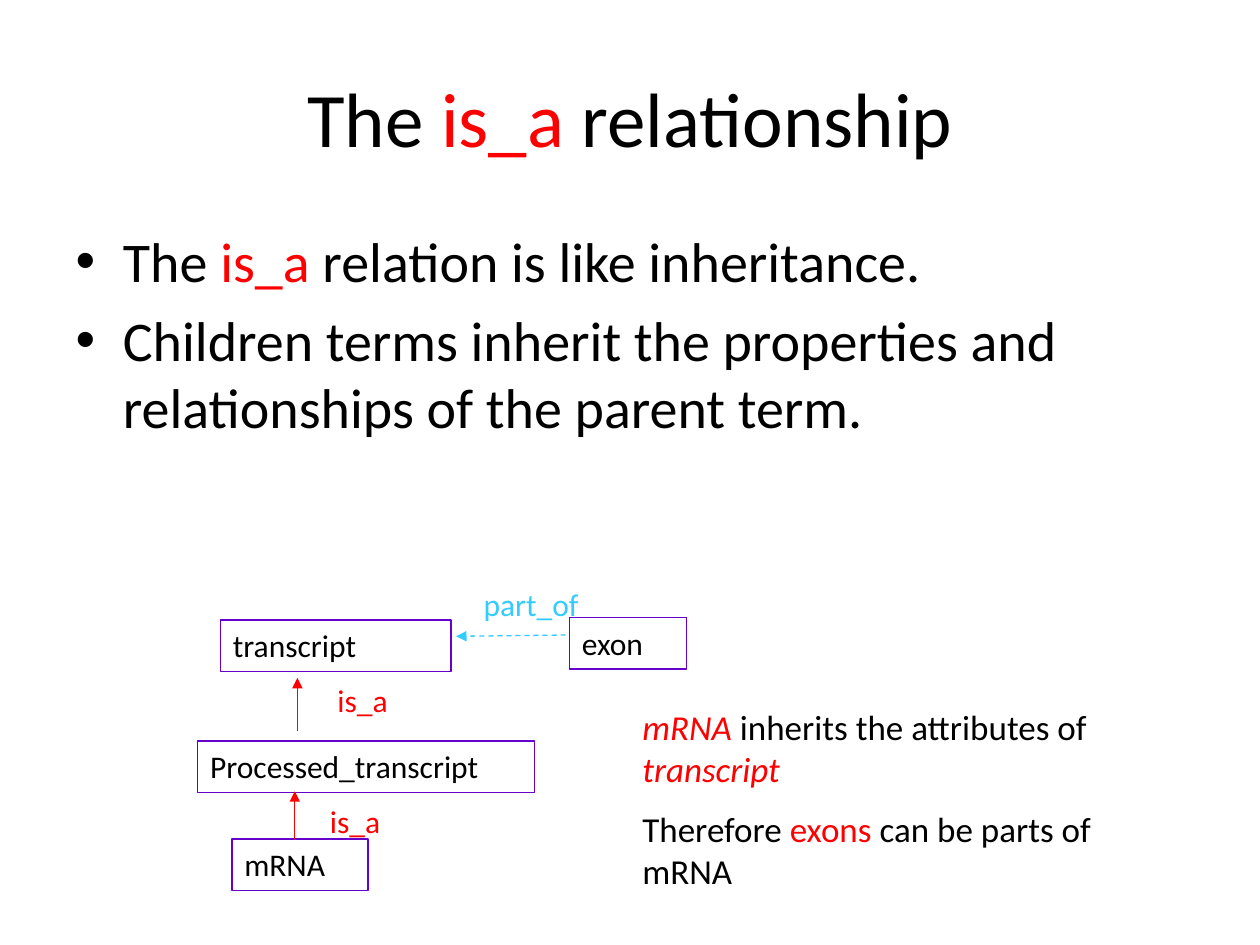
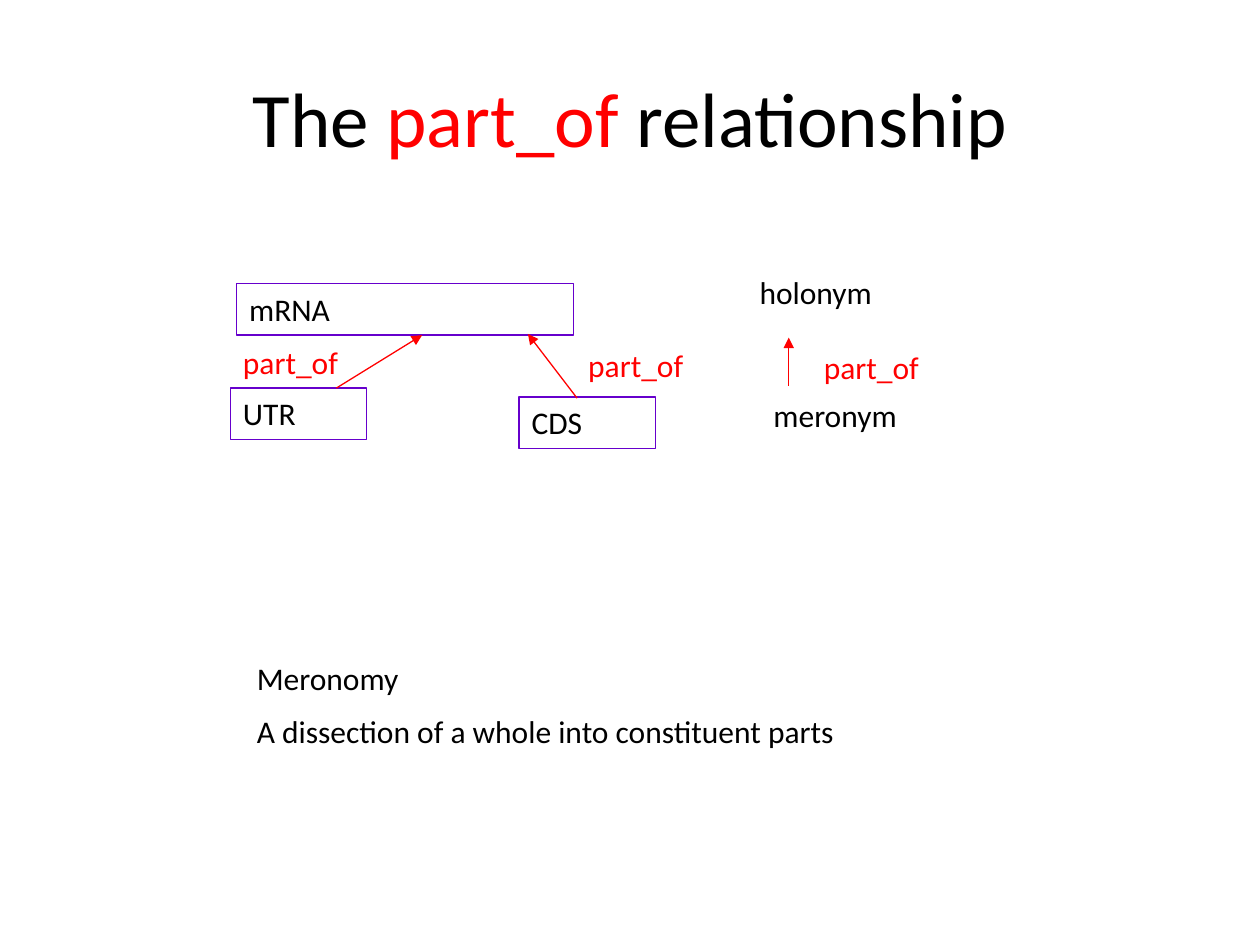
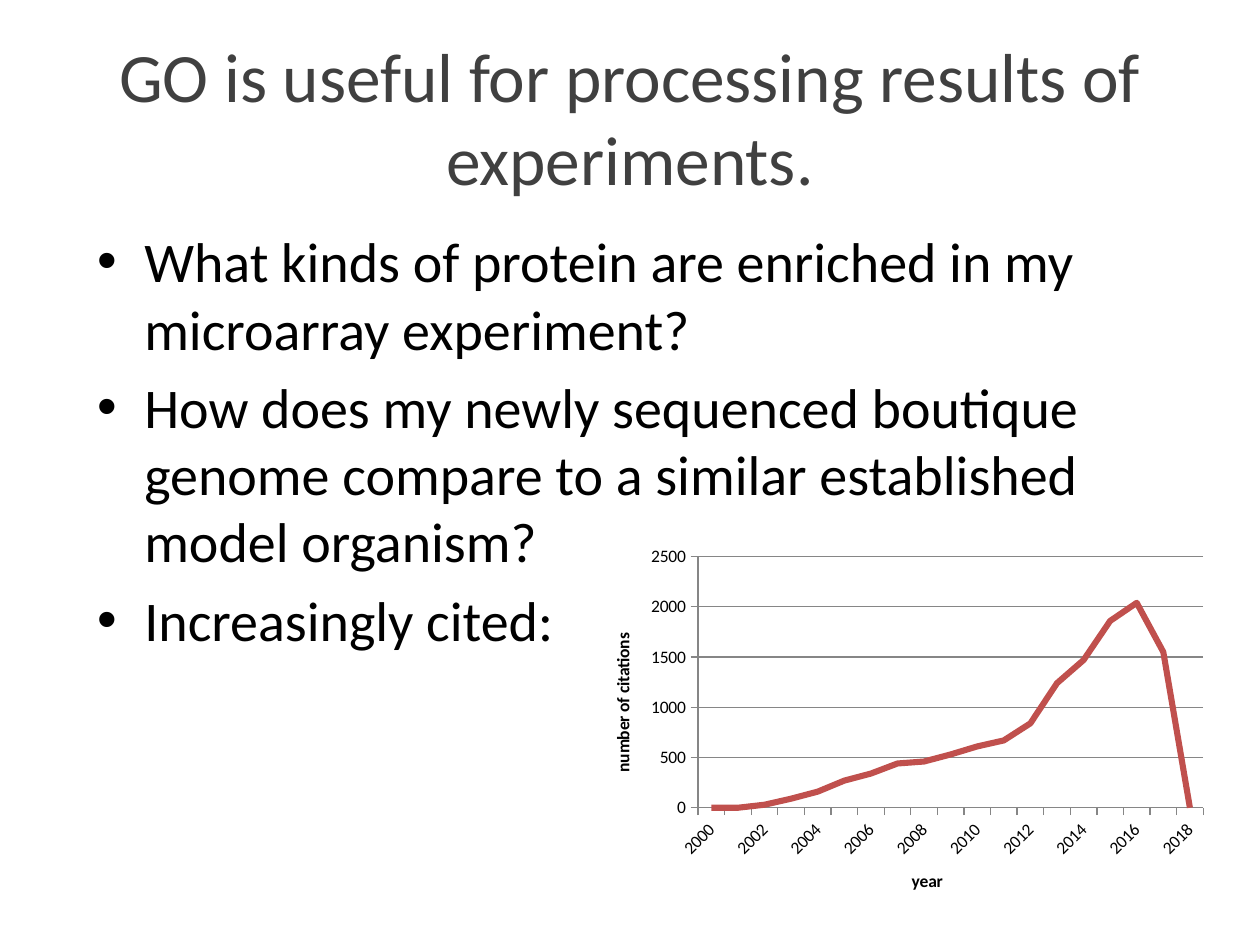
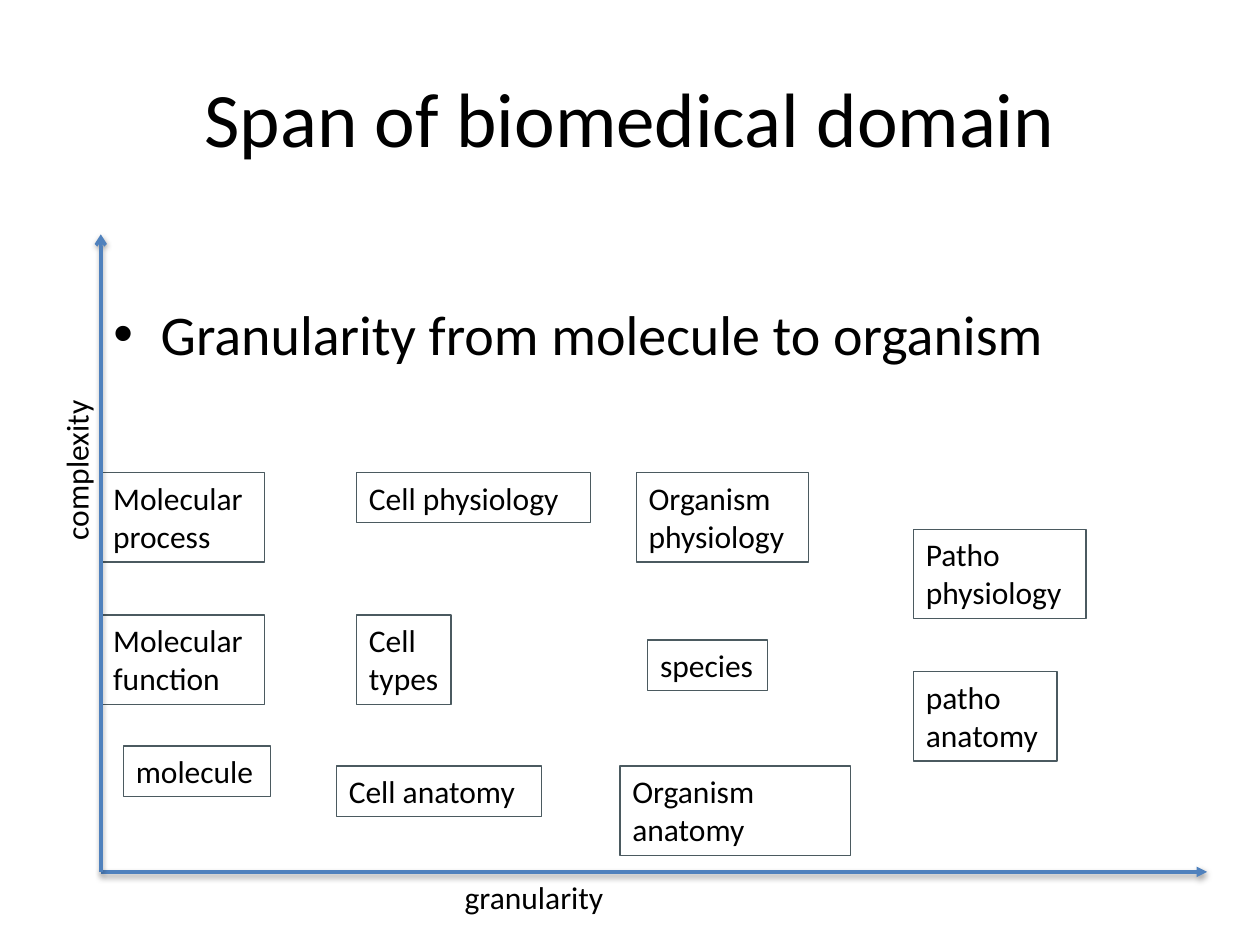
from pptx import Presentation
from pptx.chart.data import CategoryChartData
from pptx.dml.color import RGBColor
from pptx.enum.chart import XL_CHART_TYPE, XL_TICK_MARK
from pptx.enum.dml import MSO_LINE
from pptx.enum.shapes import MSO_CONNECTOR, MSO_SHAPE
from pptx.enum.text import MSO_ANCHOR, MSO_AUTO_SIZE, PP_ALIGN
from pptx.oxml.ns import qn
from pptx.util import Inches, Pt
from lxml import etree

RECT = MSO_SHAPE.RECTANGLE
STRAIGHT = MSO_CONNECTOR.STRAIGHT
LINE_CHART = XL_CHART_TYPE.LINE
TICK_OUT = XL_TICK_MARK.OUTSIDE
DASH = MSO_LINE.DASH
TOP, MIDDLE = MSO_ANCHOR.TOP, MSO_ANCHOR.MIDDLE
FIT, NO_FIT = MSO_AUTO_SIZE.SHAPE_TO_FIT_TEXT, MSO_AUTO_SIZE.NONE
LEFT, CENTER = PP_ALIGN.LEFT, PP_ALIGN.CENTER

FONT = "Calibri"
COLORS = {
    "text": "000000", "accent": "FF0000", "part": "33CCFF", "term": "6600CC",
    "grey_title": "404040", "domain": "4B5A60", "axis": "4F81BD",
    "series": "C0504D", "grid": "868686",
}
TITLE_BOX = (0.5, 0.3, 9, 1.25)
TITLE_ONLY, TITLE_BODY = 5, 1
BOX_H, LABEL_W, LABEL_H = 0.41, 1.17, 0.4


def rgb(name):
    return RGBColor.from_string(COLORS[name])


# ---- shared parts ----
def place(sp, box):
    sp.left, sp.top, sp.width, sp.height = (Inches(v) for v in box)


def write(tf, paragraphs, size, color="text", align=None, gap=None):
    """Each paragraph is a string or a list of (text, color, italic) runs."""
    for i, runs in enumerate(paragraphs):
        p = tf.paragraphs[0] if i == 0 else tf.add_paragraph()
        if align is not None:
            p.alignment = align
        if gap and i:
            p.space_before = Pt(gap)
        if isinstance(runs, str):
            runs = [(runs, color, False)]
        for text, run_color, italic in runs:
            r = p.add_run()
            r.text = text
            r.font.name, r.font.size = FONT, Pt(size)
            r.font.color.rgb = rgb(run_color)
            if italic:
                r.font.italic = True


def add_slide(prs, layout, title, size=44, color="text"):
    s = prs.slides.add_slide(prs.slide_layouts[layout])
    sp = s.shapes.title
    place(sp, TITLE_BOX)
    tf = sp.text_frame
    tf.auto_size, tf.vertical_anchor = NO_FIT, MIDDLE
    write(tf, [title], size, color, CENTER)
    return s


def relation_title(name):
    return [("The ", "text", False), (name + " ", "accent", False),
            ("relationship", "text", False)]


def bullets(s, box, paragraphs):
    sp = s.placeholders[1]
    place(sp, box)
    sp.text_frame.auto_size = NO_FIT
    write(sp.text_frame, paragraphs, 32)


def text_box(s, box, paragraphs, color="text", border=None, size=18,
             wrap=True, gap=None):
    """A label, or a framed rectangle when a border color is given."""
    x, y, w, h = (Inches(v) for v in box)
    if border:
        sp = s.shapes.add_shape(RECT, x, y, w, h)
        sp.shadow.inherit = False
        sp.fill.background()
        sp.line.color.rgb = rgb(border)
        sp.line.width = Pt(0.75)
    else:
        sp = s.shapes.add_textbox(x, y, w, h)
    tf = sp.text_frame
    tf.word_wrap, tf.auto_size, tf.vertical_anchor = wrap, FIT, TOP
    write(tf, paragraphs, size, color, LEFT, gap)
    return sp


def arrow(s, start, end, color="accent", width=0.75, dash=None,
          head="triangle", shadow=False):
    c = s.shapes.add_connector(STRAIGHT, *(Inches(v) for v in start + end))
    c.line.color.rgb = rgb(color)
    c.line.width = Pt(width)
    if dash is not None:
        c.line.dash_style = dash
    etree.SubElement(c.line._get_or_add_ln(), qn("a:tailEnd"), type=head)
    effects = etree.SubElement(c._element.spPr, qn("a:effectLst"))
    if shadow:
        outer = etree.SubElement(
            effects, qn("a:outerShdw"), blurRad=str(Pt(3.1)),
            dist=str(Pt(1.6)), dir="5400000", rotWithShape="0")
        black = etree.SubElement(outer, qn("a:srgbClr"), val=COLORS["text"])
        etree.SubElement(black, qn("a:alpha"), val="38000")


def term(s, x, y, w, name):
    text_box(s, (x, y, w, BOX_H), [name], border="term")


def relation_label(s, x, y, name, color="accent", w=LABEL_W):
    text_box(s, (x, y, w, LABEL_H), [name], color)


# ---- slide 1: is_a ----
def inheritance_diagram(s, x, y):
    term(s, x + 0.27, y + 2.07, 1.08, "mRNA")
    term(s, x, y + 1.29, 2.67, "Processed_transcript")
    term(s, x + 0.18, y + 0.33, 1.83, "transcript")
    arrow(s, (x + 0.77, y + 2.07), (x + 0.77, y + 1.69))
    arrow(s, (x + 0.79, y + 1.21), (x + 0.79, y + 0.79))
    arrow(s, (x + 2.92, y + 0.45), (x + 2.05, y + 0.46), "part", dash=DASH)
    relation_label(s, x + 0.95, y + 1.73, "is_a")
    relation_label(s, x + 1.01, y + 0.77, "is_a")
    relation_label(s, x + 2.17, y, "part_of", "part", 1.33)
    term(s, x + 2.95, y + 0.31, 0.93, "exon")


def is_a_slide(prs):
    s = add_slide(prs, TITLE_BODY, relation_title("is_a"))
    bullets(s, (0.5, 1.75, 9, 4.95), [
        [("The ", "text", False), ("is_a", "accent", False),
         (" relation is like inheritance.", "text", False)],
        "Children terms inherit the properties and relationships of the "
        "parent term.",
    ])
    text_box(s, (5, 5.55, 4.33, 1.6), [
        [("mRNA", "accent", True),
         (" inherits the attributes of ", "text", False),
         ("transcript", "accent", True)],
        [("Therefore ", "text", False), ("exons", "accent", False),
         (" can be parts of mRNA", "text", False)],
    ], size=20, gap=10)
    inheritance_diagram(s, 1.57, 4.59)


# ---- slide 2: part_of ----
def parts_diagram(s, x, y):
    term(s, x + 0.05, y, 2.67, "mRNA")
    term(s, x, y + 0.83, 1.08, "UTR")
    arrow(s, (x + 0.84, y + 0.83), (x + 1.52, y + 0.41))
    relation_label(s, x, y + 0.42, "part_of")
    term(s, x + 2.29, y + 0.9, 1.08, "CDS")
    arrow(s, (x + 2.75, y + 0.91), (x + 2.36, y + 0.4))
    relation_label(s, x + 2.74, y + 0.45, "part_of")


def holonym_diagram(s, x, y):
    text_box(s, (x, y, 1.46, 0.5), ["holonym"], wrap=False)
    text_box(s, (x + 0.11, y + 0.97, 1.59, 0.5), ["meronym"], wrap=False)
    arrow(s, (x + 0.33, y + 0.94), (x + 0.33, y + 0.56))
    relation_label(s, x + 0.51, y + 0.59, "part_of")


def part_of_slide(prs):
    s = add_slide(prs, TITLE_ONLY, relation_title("part_of"))
    parts_diagram(s, 1.83, 2.25)
    holonym_diagram(s, 5.93, 2.12)
    text_box(s, (1.94, 5.18, 5.44, 1.5), [
        "Meronomy", "A dissection of a whole into constituent parts"], gap=9)


# ---- slide 3: citations ----
def style_axis(axis, title):
    axis.major_tick_mark = TICK_OUT
    axis.format.line.color.rgb = rgb("grid")
    tf = axis.axis_title.text_frame
    write(tf, [title], 10)
    tf.paragraphs[0].runs[0].font.bold = True


def citation_chart(s, box):
    data = CategoryChartData()
    data.categories = range(2000, 2019)
    data.add_series("Series 1", [
        0, 0, 30, 90, 160, 270, 340, 440, 460, 530, 610, 670, 840, 1240,
        1470, 1860, 2040, 1550, 0])
    chart = s.shapes.add_chart(
        LINE_CHART, *(Inches(v) for v in box), data).chart
    chart.has_legend = chart.has_title = False
    chart.font.name, chart.font.size = FONT, Pt(10)
    chart.font.color.rgb = rgb("text")

    plot = chart.plots[0]
    plot.vary_by_categories = False
    line = plot.series[0]
    line.smooth = False
    line.format.line.color.rgb = rgb("series")
    line.format.line.width = Pt(3.5)

    years, counts = chart.category_axis, chart.value_axis
    style_axis(years, "year")
    style_axis(counts, "number of citations")
    counts.minimum_scale, counts.maximum_scale = 0, 2500
    counts.major_unit = 500
    counts.major_gridlines.format.line.color.rgb = rgb("grid")

    # Slanted labels, every second year
    years.tick_labels.font.size = Pt(10)
    ax = years._element
    ax.find(qn("c:txPr")).find(qn("a:bodyPr")).set("rot", "-2700000")
    skip = etree.Element(qn("c:tickLblSkip"), val="2")
    ax.find(qn("c:noMultiLvlLbl")).addprevious(skip)


def citations_slide(prs):
    s = add_slide(prs, TITLE_BODY,
                  "GO is useful for processing results of experiments.",
                  39.6, "grey_title")
    bullets(s, (0.67, 1.75, 8.5, 4.5), [
        "What kinds of protein are enriched in my microarray experiment?",
        "How does my newly sequenced boutique genome compare to a similar "
        "established model organism?",
        "Increasingly cited:",
    ])
    citation_chart(s, (4.65, 4.28, 5, 3))


# ---- slide 4: biomedical domain ----
def domain_map(s, x, y, w, h):
    """Domains between a complexity and a granularity axis."""
    base = y + h
    axis_style = {"color": "axis", "width": 2, "shadow": True}
    arrow(s, (x, base), (x + w, base), **axis_style)
    domains = [
        (0.18, 4.06, 1.17, ["molecule"]),
        (1.87, 4.22, 1.63, ["Cell anatomy"]),
        (4.12, 4.22, 1.83, ["Organism anatomy"]),
        (6.45, 3.47, 1.14, ["patho", "anatomy"]),
        (2.03, 3.02, 0.75, ["Cell", "types"]),
        (2.03, 1.89, 1.86, ["Cell physiology"]),
        (4.25, 1.89, 1.37, ["Organism", "physiology"]),
        (4.34, 3.22, 0.95, ["species"]),
        (0, 3.02, 1.3, ["Molecular", "function"]),
        (0, 1.89, 1.3, ["Molecular", "process"]),
        (6.45, 2.34, 1.37, ["Patho", "physiology"]),
    ]
    for dx, dy, box_w, lines in domains:
        wraps = lines == ["Organism anatomy"]
        box_h = 0.71 if wraps or len(lines) == 2 else 0.4
        text_box(s, (x + dx, y + dy, box_w, box_h), lines,
                 border="domain", wrap=wraps)
    arrow(s, (x, base), (x, y), head="arrow", **axis_style)
    text_box(s, (x + 2.79, base, 1.37, LABEL_H), ["granularity"], wrap=False)
    complexity = text_box(s, (x - 0.89, y + 1.63, 1.39, LABEL_H),
                          ["complexity"], wrap=False)
    complexity.rotation = 270


def domain_slide(prs):
    s = add_slide(prs, TITLE_BODY, "Span of biomedical domain")
    bullets(s, (0.8, 2.33, 8.21, 0.67),
            ["Granularity from molecule to organism"])
    domain_map(s, 0.8, 1.86, 8.78, 5.06)


def main():
    prs = Presentation()
    prs.slide_width, prs.slide_height = Inches(10), Inches(7.5)
    for build in (is_a_slide, part_of_slide, citations_slide, domain_slide):
        build(prs)
    prs.save("out.pptx")


if __name__ == "__main__":
    main()
